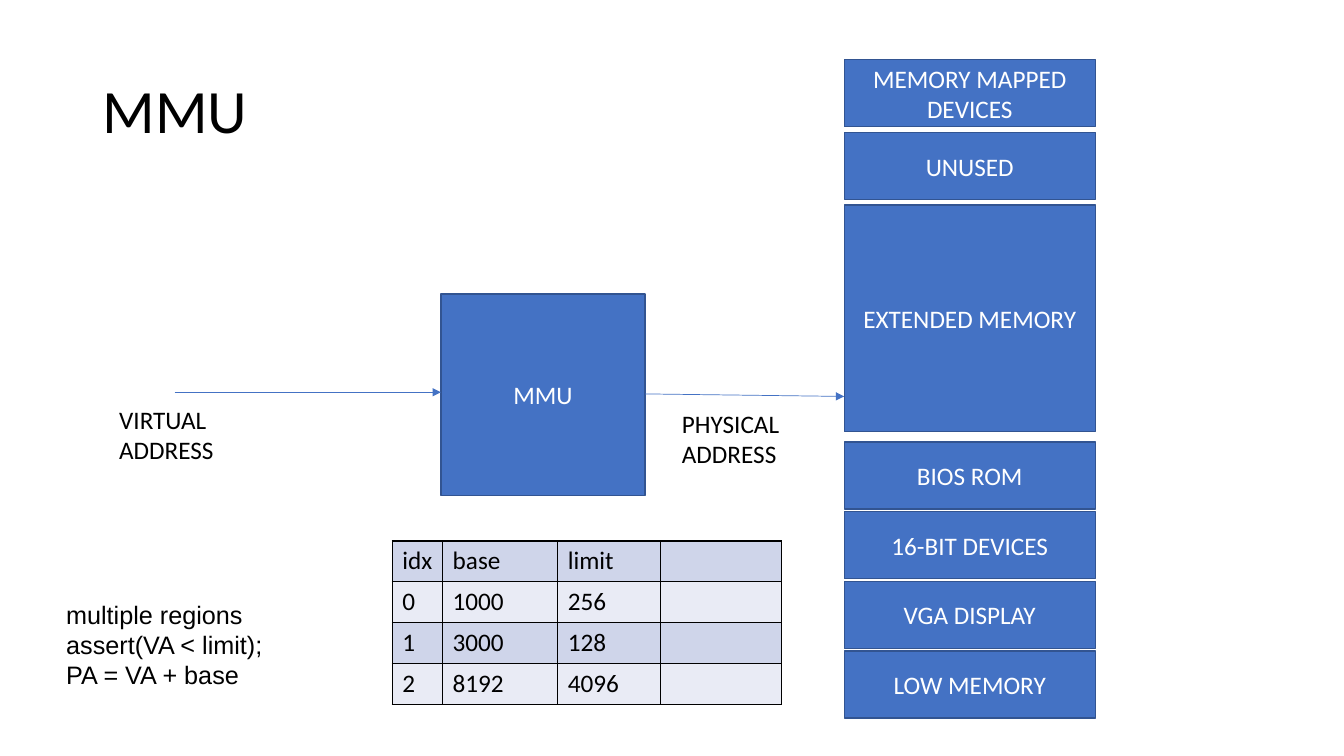
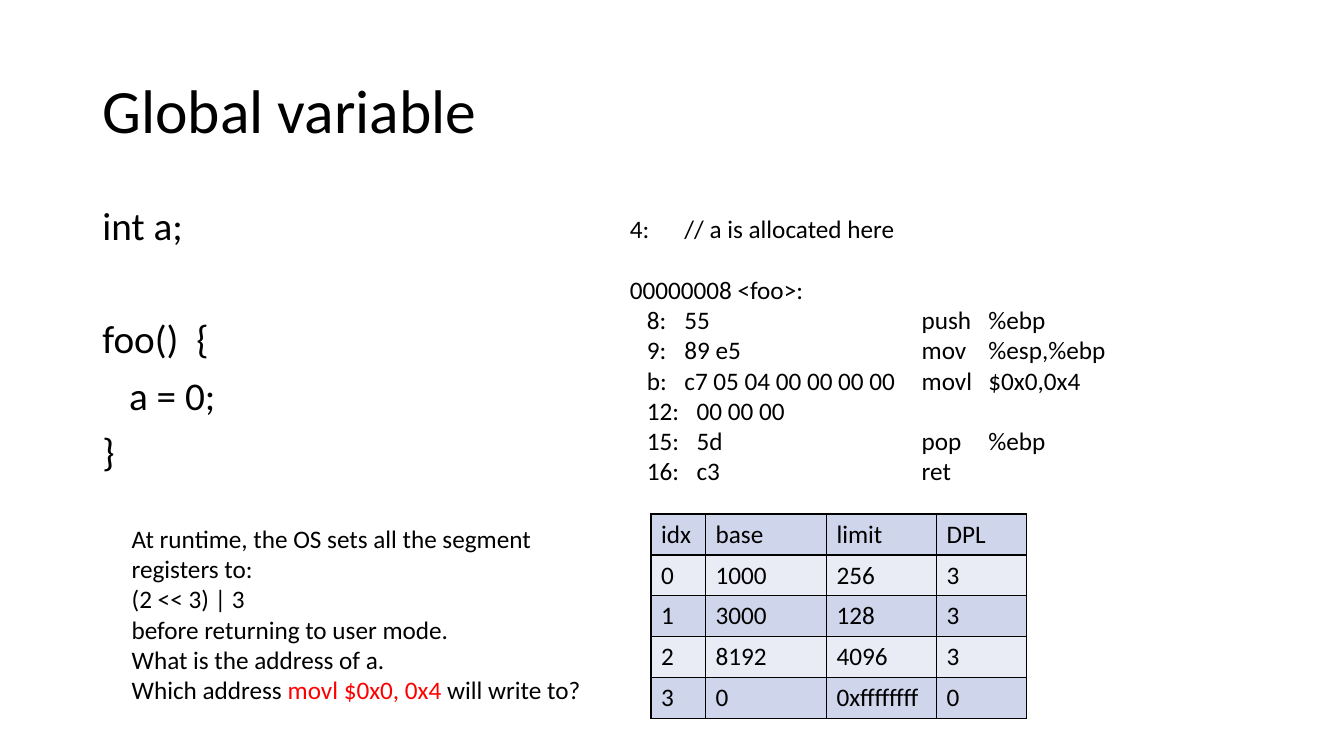
"""Build two slides on segmented memory: the MMU and a global variable."""
from dataclasses import dataclass

from lxml import etree
from pptx import Presentation, util as u
from pptx.dml.color import RGBColor
from pptx.enum import shapes, text
from pptx.oxml import ns


@dataclass(frozen=True)
class Theme:
    ink: str = "000000"
    paper: str = "FFFFFF"
    block: str = "4472C4"
    edge: str = "325491"
    alert: str = "FF0000"
    bands: tuple = ("CFD5EA", "E9EBF5")
    font: str = "Calibri"
    note_font: str = "Arial"
    title_size: int = 44
    code_size: int = 28
    text_size: int = 18


theme = Theme()
deck = Presentation()
deck.slide_width, deck.slide_height = u.Inches(13.333), u.Inches(7.5)
COLUMNS = 160


def grid(*counts):
    """Turn counts of square grid cells into lengths."""
    return [round(count * deck.slide_width / COLUMNS) for count in counts]


def write(paragraph, words, size=theme.text_size, color=theme.ink, font=theme.font):
    """Add one formatted run."""
    run = paragraph.add_run()
    run.text = words
    run.font.size, run.font.name = u.Pt(size), font
    run.font.color.rgb = RGBColor.from_string(color)


TITLE_ONLY, TITLE_AND_BODY = deck.slide_layouts[5], deck.slide_layouts[1]
mmu_slide = deck.slides.add_slide(TITLE_ONLY)
variable_slide = deck.slides.add_slide(TITLE_AND_BODY)

for slide, heading in ((mmu_slide, "MMU"), (variable_slide, "Global variable")):
    title = slide.shapes.title
    title.left, title.top, title.width, title.height = grid(11, 4.8, 138, 17.4)
    title.text_frame.vertical_anchor = text.MSO_ANCHOR.MIDDLE
    title.text_frame.auto_size = text.MSO_AUTO_SIZE.NONE
    line = title.text_frame.paragraphs[0]
    line.alignment, line.line_spacing = text.PP_ALIGN.LEFT, 0.9
    write(line, heading, theme.title_size)

blocks = [("MMU", 52.5, 35, 24.3, 24)]
UPPER = (("MEMORY MAPPED DEVICES", 8), ("UNUSED", 8), ("EXTENDED MEMORY", 27))
LOWER = (("BIOS ROM", 8), ("16-BIT DEVICES", 8), ("VGA DISPLAY", 8), ("LOW MEMORY", 8))
for top, gap, regions in ((7.1, 0.65, UPPER), (52.6, 0.3, LOWER)):
    for region, height in regions:
        blocks.append((region, 100.5, top, 29.9, height))
        top += height + gap

for label, *place in blocks:
    block = mmu_slide.shapes.add_shape(shapes.MSO_SHAPE.RECTANGLE, *grid(*place))
    block.shadow.inherit = False
    block.fill.solid()
    block.fill.fore_color.rgb = RGBColor.from_string(theme.block)
    block.line.color.rgb = RGBColor.from_string(theme.edge)
    block.line.width = u.Pt(1)
    block.text_frame.vertical_anchor = text.MSO_ANCHOR.MIDDLE
    line = block.text_frame.paragraphs[0]
    line.alignment = text.PP_ALIGN.CENTER
    write(line, label, color=theme.paper)

for ends in ((20.8, 46.7, 52.5, 46.7), (76.8, 46.9, 100.5, 47.2)):
    arrow = mmu_slide.shapes.add_connector(shapes.MSO_CONNECTOR.STRAIGHT, *grid(*ends))
    arrow.line.color.rgb = RGBColor.from_string(theme.block)
    arrow.line.width = u.Pt(0.5)
    etree.SubElement(arrow.line._get_or_add_ln(), ns.qn("a:tailEnd"), type="triangle")
    etree.SubElement(arrow._element.spPr, ns.qn("a:effectLst"))

question = (
    "At runtime, the OS sets all the segment registers to:",
    "(2 << 3) | 3",
    "before returning to user mode.",
    "What is the address of a.",
    ("Which address ", "movl $0x0, 0x4 ", "will write to?"),
)
notes = (
    (mmu_slide, (13, 47.5, 26.3, 8.5), theme.font, ("VIRTUAL", "ADDRESS")),
    (mmu_slide, (80, 48, 26.3, 8.5), theme.font, ("PHYSICAL", "ADDRESS")),
    (mmu_slide, (6.7, 70.7, 45.2, 12.1), theme.note_font,
     ("multiple regions", "assert(VA < limit);", "PA = VA + base")),
    (variable_slide, (14.5, 61.7, 56.9, 23), theme.font, question),
)
for slide, place, font, lines in notes:
    frame = slide.shapes.add_textbox(*grid(*place)).text_frame
    frame.word_wrap = True
    for number, words in enumerate(lines):
        line = frame.add_paragraph() if number else frame.paragraphs[0]
        parts = (words,) if isinstance(words, str) else words
        for part in parts:
            color = theme.alert if part.startswith("movl") else theme.ink
            write(line, part, color=color, font=font)

source = variable_slide.placeholders[1]
source.left, source.top, source.width, source.height = grid(11, 24, 138, 57.1)
source.text_frame.auto_size = text.MSO_AUTO_SIZE.NONE
for number, (words, before) in enumerate(
    (("int a;", 0), ("foo()  {", 50.7), ("   a = 0;", 10), ("}", 10))
):
    line = source.text_frame.add_paragraph() if number else source.text_frame.paragraphs[0]
    line.line_spacing, line.space_before = 0.9, u.Pt(before)
    properties = line._p.get_or_add_pPr()
    properties.set("marL", "0")
    properties.set("indent", "0")
    etree.SubElement(properties, ns.qn("a:buNone"))
    write(line, words, theme.code_size)

listing = (
    ("4:", "// a is allocated here"),
    ("00000008 <foo>:",),
    ("   8:", "55", "push", "%ebp"),
    ("   9:", "89 e5", "mov", "%esp,%ebp"),
    ("   b:", "c7 05 04 00 00 00 00", "movl", "$0x0,0x4"),
    ("   12:", "00 00 00"),
    ("   15:", "5d", "pop", "%ebp"),
    ("   16:", "c3", "ret"),
)
frame = variable_slide.shapes.add_textbox(*grid(73.8, 24.8, 75.1, 34)).text_frame
frame.word_wrap = True
for number, fields in enumerate(listing):
    line = frame.add_paragraph() if number else frame.paragraphs[0]
    if number == 1:
        line.space_before = u.Pt(22)
    byte_stop = 7.95 if len(fields[0]) == len("   12:") else 6.5
    stops = etree.SubElement(line._p.get_or_add_pPr(), ns.qn("a:tabLst"))
    for stop in grid(byte_stop, 34.75, 42.7):
        etree.SubElement(stops, ns.qn("a:tab"), pos=str(stop), algn="l")
    write(line, "\t".join(fields))

segments = (("0", "1000", "256"), ("1", "3000", "128"), ("2", "8192", "4096"))
header = ("idx", "base", "limit")
plain_rows = [row + ("",) for row in (header, *segments)]
guarded_rows = [header + ("DPL",), *(row + ("3",) for row in segments),
                ("3", "0", "0xffffffff", "0")]
ROW = 4.87
for slide, left, top, widths, rows in (
    (mmu_slide, 46.7, 64.4, (6, 13.7, 12.2, 14.4), plain_rows),
    (variable_slide, 77.5, 61.2, (6.5, 14.4, 13.1, 10.7), guarded_rows),
):
    place = grid(left, top, sum(widths), ROW * len(rows))
    table = slide.shapes.add_table(len(rows), len(widths), *place).table
    table.first_row = table.horz_banding = False
    for column, width in zip(table.columns, grid(*widths)):
        column.width = width
    for r, values in enumerate(rows):
        table.rows[r].height = grid(ROW)[0]
        for c, value in enumerate(values):
            cell = table.cell(r, c)
            cell.fill.solid()
            cell.fill.fore_color.rgb = RGBColor.from_string(theme.bands[r % 2])
            if value:
                write(cell.text_frame.paragraphs[0], value)
            for position, side in enumerate(("lnL", "lnR", "lnT", "lnB")):
                border = etree.Element(ns.qn("a:" + side), w=str(u.Pt(1)))
                fill = etree.SubElement(border, ns.qn("a:solidFill"))
                etree.SubElement(fill, ns.qn("a:srgbClr"), val=theme.ink)
                cell._tc.get_or_add_tcPr().insert(position, border)

deck.save("out.pptx")
